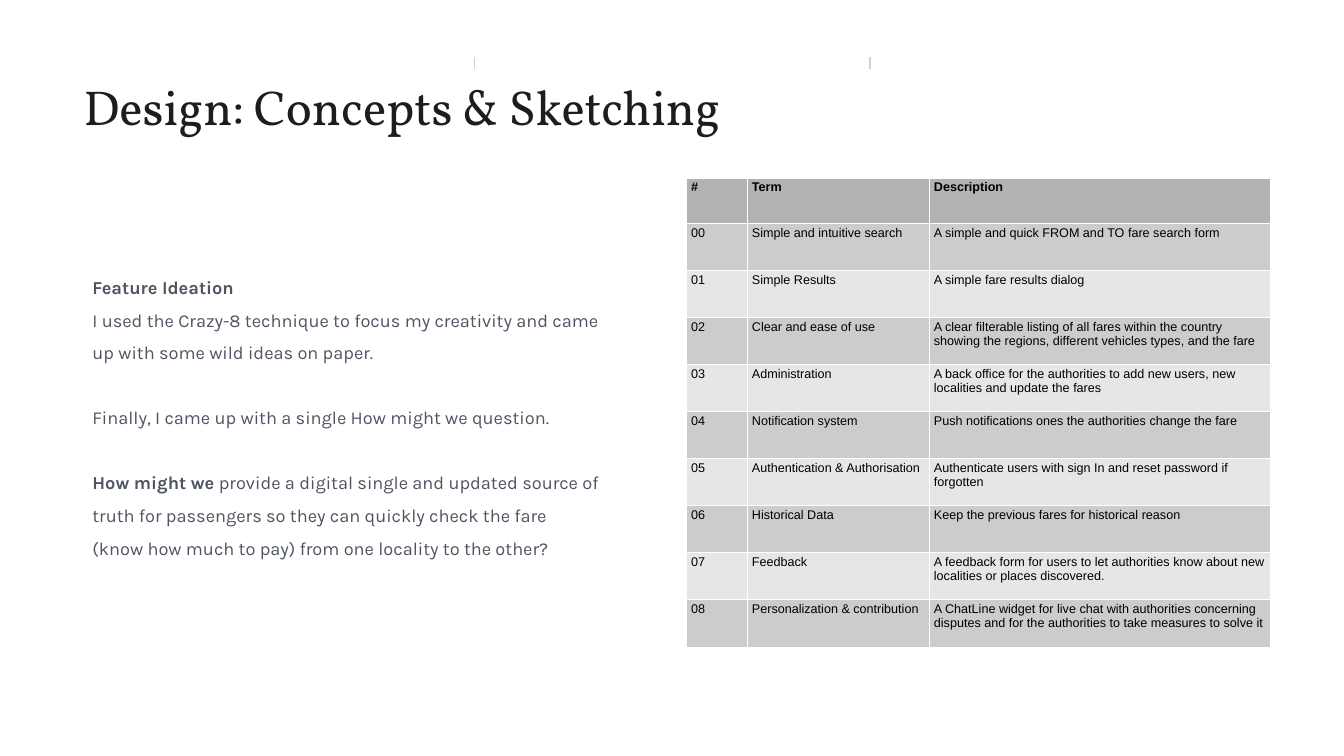
import pptx
import pptx.dml.color
import pptx.enum.shapes
import pptx.enum.text
import pptx.oxml
import pptx.oxml.ns
import pptx.util
from lxml import etree

Pt = pptx.util.Pt
ALIGN = pptx.enum.text.PP_ALIGN
ANCHOR = pptx.enum.text.MSO_ANCHOR

BODY_PARAGRAPHS = [
    (0, [("Feature Ideation", True)]),
    (0, [("I used the Crazy-8 technique to focus my creativity and came up with some wild ideas on paper.", False)]),
    (46, [("Finally, I came up with a single How might we question.", False)]),
    (46, [
        ("How might we", True),
        (" provide a digital single and updated source of truth for passengers so they can quickly "
         "check the fare (know how much to pay) from one locality to the other?", False),
    ]),
]

FEATURES = [
    ("Simple and intuitive search", "A simple and quick FROM and TO fare search form"),
    ("Simple Results", "A simple fare results dialog"),
    ("Clear and ease of use", "A clear filterable listing of all fares within the country showing the "
                              "regions, different vehicles types, and the fare"),
    ("Administration", "A back office for the authorities to add new users, new localities and update the fares"),
    ("Notification system", "Push notifications ones the authorities change the fare"),
    ("Authentication & Authorisation", "Authenticate users with sign In and reset password if forgotten"),
    ("Historical Data", "Keep the previous fares for historical reason"),
    ("Feedback", "A feedback form for users to let authorities know about new localities or places discovered."),
    ("Personalization & contribution", "A ChatLine widget for live chat with authorities concerning disputes "
                                       "and for the authorities to take measures to solve it"),
]


def color(value):
    return pptx.dml.color.RGBColor.from_string(value)


def add_run(paragraph, text, font, size, fill, bold=False):
    run = paragraph.add_run()
    run.text = text
    run.font.name = font
    run.font.size = Pt(size)
    run.font.bold = bold
    run.font.color.rgb = color(fill)


def place_placeholder(shape, left, top, width, height, anchor):
    shape.left, shape.top, shape.width, shape.height = Pt(left), Pt(top), Pt(width), Pt(height)
    frame = shape.text_frame
    frame.word_wrap = True
    frame.auto_size = pptx.enum.text.MSO_AUTO_SIZE.NONE
    frame.vertical_anchor = anchor
    frame.margin_left = frame.margin_right = frame.margin_top = frame.margin_bottom = Pt(4.5)
    return frame


def fill_title(shape):
    frame = place_placeholder(shape, 115, 29, 1496, 245, ANCHOR.MIDDLE)
    paragraph = frame.paragraphs[0]
    paragraph.alignment = ALIGN.LEFT
    add_run(paragraph, "Design: Concepts & Sketching", "Vollkorn", 70, "1C1D21")


def fill_body(shape):
    frame = place_placeholder(shape, 127.5, 374.5, 736, 431, ANCHOR.TOP)
    for index, (gap, runs) in enumerate(BODY_PARAGRAPHS):
        paragraph = frame.add_paragraph() if index else frame.paragraphs[0]
        paragraph.alignment = ALIGN.LEFT
        paragraph.line_spacing = 1.5
        paragraph.space_before = Pt(gap)
        properties = paragraph._p.get_or_add_pPr()
        properties.set("marL", "0")
        properties.set("indent", "0")
        etree.SubElement(properties, pptx.oxml.ns.qn("a:buNone"))
        for text, bold in runs:
            add_run(paragraph, text, "Karla", 26, "4E5461", bold)


def add_tick(slide, x):
    tick = slide.shapes.add_connector(
        pptx.enum.shapes.MSO_CONNECTOR.STRAIGHT, Pt(x), Pt(82), Pt(x), Pt(99))
    tick.line.color.rgb = color("CFD1D3")
    tick.line.width = Pt(2)
    etree.SubElement(tick._element.spPr, pptx.oxml.ns.qn("a:effectLst"))


def set_borders(cell, fill, width):
    properties = cell._tc.get_or_add_tcPr()
    for index, side in enumerate(("lnL", "lnR", "lnT", "lnB")):
        border = pptx.oxml.parse_xml(
            f'<a:{side} {pptx.oxml.ns.nsdecls("a")} w="{Pt(width)}">'
            f'<a:solidFill><a:srgbClr val="{fill}"/></a:solidFill></a:{side}>')
        properties.insert(index, border)


def fill_cell(cell, text, fill, bold):
    cell.fill.solid()
    cell.fill.fore_color.rgb = color(fill)
    set_borders(cell, "FFFFFF", 0.06)
    add_run(cell.text_frame.paragraphs[0], text, "Arial", 18, "000000", bold)


def add_feature_table(slide):
    rows = [("#", "Term", "Description")]
    rows += [(f"{index:02d}", *feature) for index, feature in enumerate(FEATURES)]
    widths = (87, 260, 488)
    heights = [65] + [67.2] * len(FEATURES)
    table = slide.shapes.add_table(
        len(rows), len(widths), Pt(980), Pt(254), Pt(sum(widths)), Pt(sum(heights))).table
    table.first_row = True
    table.horz_banding = False
    for column, width in zip(table.columns, widths):
        column.width = Pt(width)
    for index, (values, height) in enumerate(zip(rows, heights)):
        table.rows[index].height = Pt(height)
        fill = "B3B3B3" if index == 0 else ("E6E6E6", "CCCCCC")[index % 2]
        for cell, text in zip(table.rows[index].cells, values):
            fill_cell(cell, text, fill, index == 0)


def main():
    presentation = pptx.Presentation()
    presentation.slide_width, presentation.slide_height = Pt(1920), Pt(1080)
    slide = presentation.slides.add_slide(presentation.slide_layouts[1])
    slide.background.fill.solid()
    slide.background.fill.fore_color.rgb = color("FFFFFF")
    for x in (678, 1243):
        add_tick(slide, x)
    fill_title(slide.shapes.title)
    fill_body(slide.placeholders[1])
    add_feature_table(slide)
    presentation.save("out.pptx")


if __name__ == "__main__":
    main()
